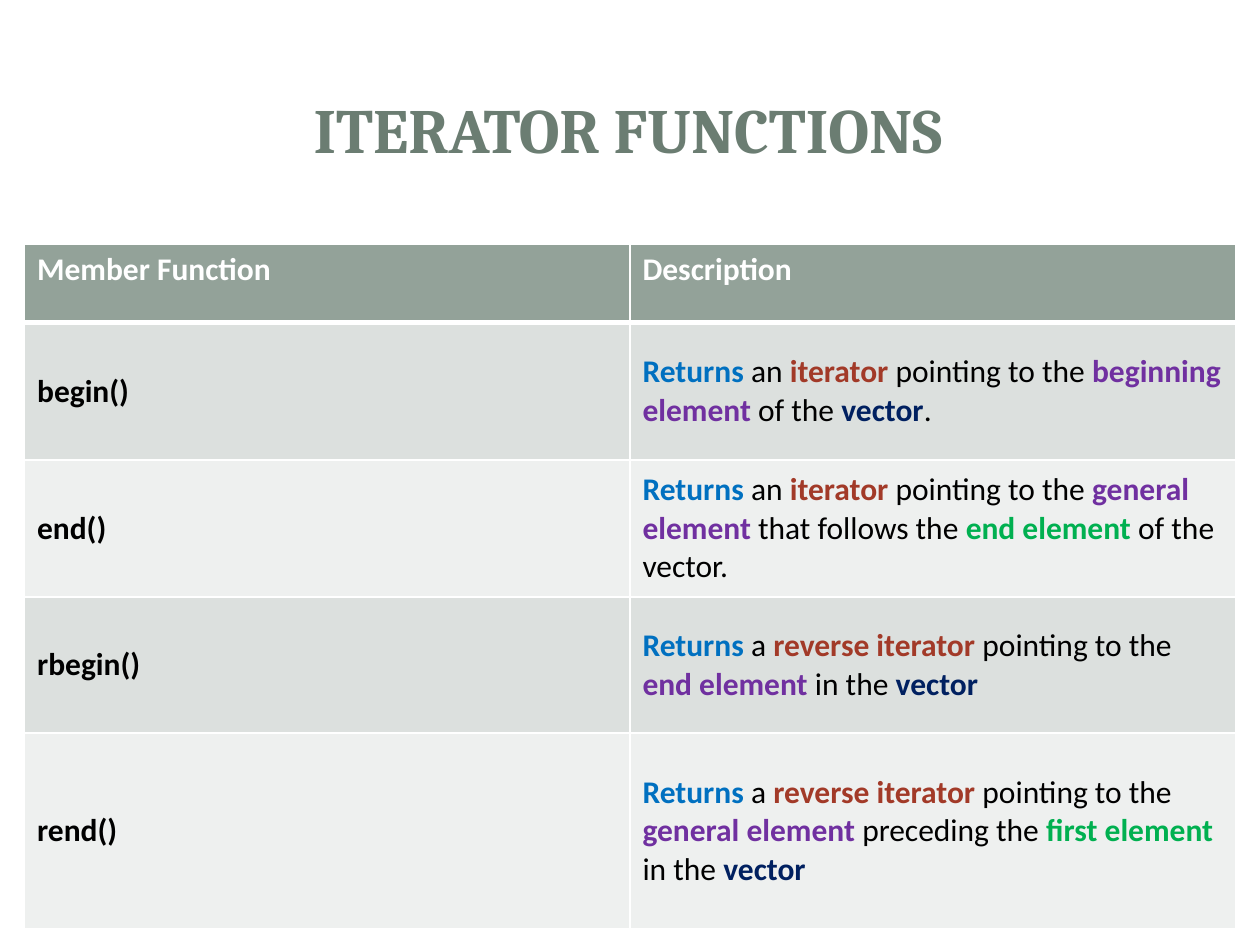
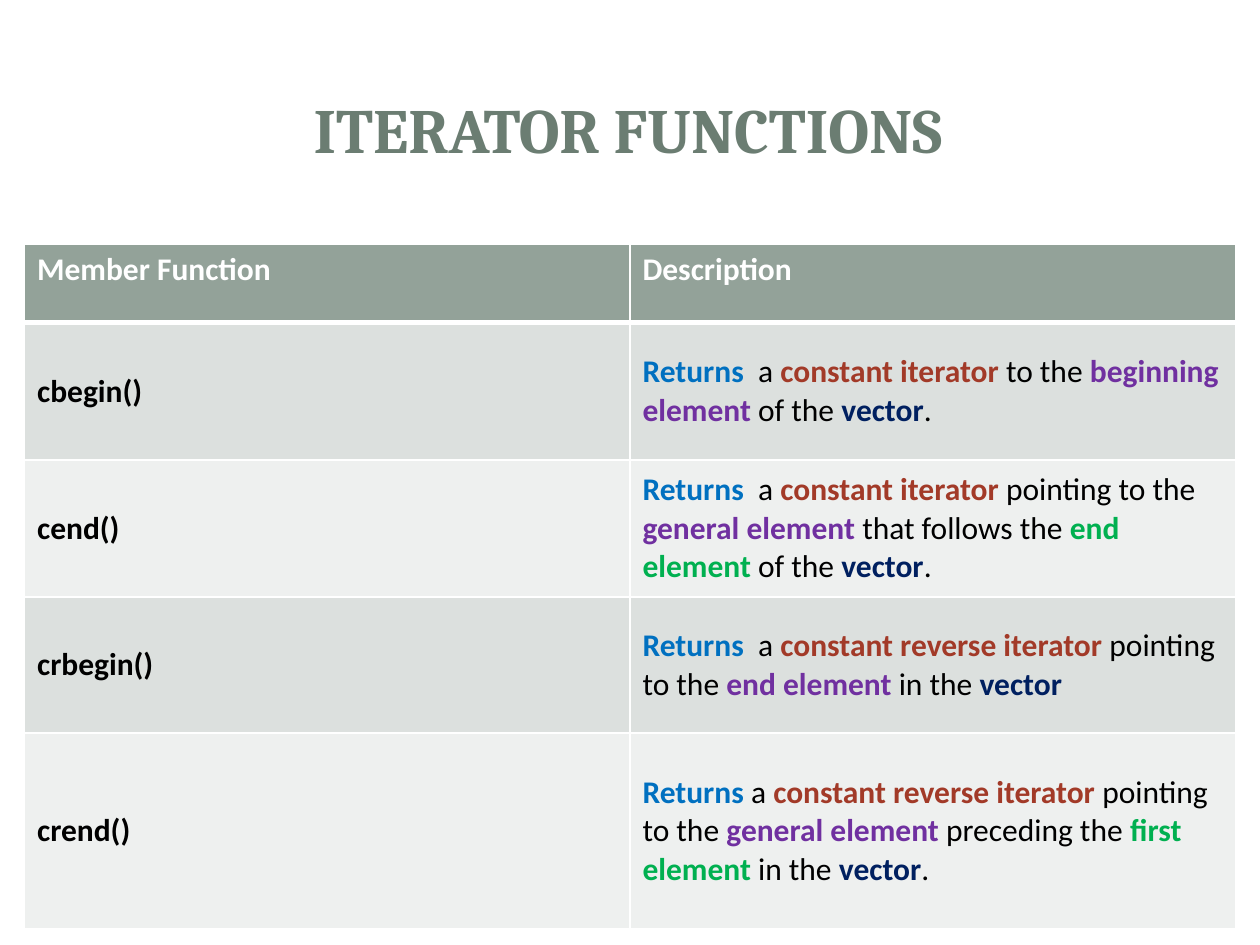
from lxml.etree import SubElement
from pptx import Presentation
from pptx.dml.color import RGBColor
from pptx.enum.shapes import MSO_SHAPE
from pptx.enum.text import MSO_ANCHOR, PP_ALIGN
from pptx.oxml.ns import qn
from pptx.util import Inches, Pt

COLORS = {
    "title": "6B7D72", "header": "93A299", "odd": "DCE0DE", "even": "EEF0EF",
    "white": "FFFFFF", "text": "000000", "verb": "0070C0", "kind": "A23A28",
    "place": "7030A0", "anchor": "00B050", "vector": "002060",
}
TITLE_FONT = {"name": "Cambria", "size": Pt(36), "bold": True}
CELL_FONT = {"name": "Calibri", "size": Pt(18), "bold": True}
TITLE_BOX = {"left": 0.47, "top": 0.45, "width": 9.03, "height": 1.14}
PANELS = [
    (MSO_SHAPE.ROUNDED_RECTANGLE, (0.1, 0.11, 9.8, 7.29), 100),
    (MSO_SHAPE.RECTANGLE, (0.3, 0.3, 9.4, 1.45), 83),
    (MSO_SHAPE.RECTANGLE, (0.41, 0.41, 9.17, 1.22), 100),
]
HEADERS = ["Member Function", "Description"]
ROW_HEIGHTS = [0.62, 1.09, 1.09, 1.08, 1.55]
SLIDE_WIDTH, SLIDE_HEIGHT = 10, 7.5
TABLE_WIDTH = 9.61

SLIDES = [
    [
        ("begin()", [("verb", "Returns"), ("text", " an "), ("kind", "iterator"),
                     ("text", " pointing to the "), ("place", "beginning element "),
                     ("text", "of the "), ("vector", "vector"), ("text", ".")]),
        ("end()", [("verb", "Returns"), ("text", " an "), ("kind", "iterator"),
                   ("text", " pointing to the "), ("place", "general element "),
                   ("text", "that follows the "), ("anchor", "end element "),
                   ("text", "of the vector.")]),
        ("rbegin()", [("verb", "Returns"), ("text", " a "), ("kind", "reverse iterator "),
                      ("text", "pointing to the "), ("place", "end element "),
                      ("text", "in the "), ("vector", "vector")]),
        ("rend()", [("verb", "Returns "), ("text", "a "), ("kind", "reverse iterator "),
                    ("text", "pointing to the "), ("place", "general element "),
                    ("text", "preceding the "), ("anchor", "first element "),
                    ("text", "in the "), ("vector", "vector")]),
    ],
    [
        ("cbegin()", [("verb", "Returns"), ("text", "  a "), ("kind", "constant iterator "),
                      ("text", "to the "), ("place", "beginning element"),
                      ("text", " of the "), ("vector", "vector"), ("text", ".")]),
        ("cend()", [("verb", "Returns"), ("text", "  a "), ("kind", "constant iterator "),
                    ("text", "pointing to the "), ("place", "general element "),
                    ("text", "that follows the "), ("anchor", "end element "),
                    ("text", "of the "), ("vector", "vector"), ("text", ".")]),
        ("crbegin()", [("verb", "Returns"), ("text", "  a "),
                       ("kind", "constant reverse iterator"),
                       ("text", " pointing to the "), ("place", "end element "),
                       ("text", "in the "), ("vector", "vector")]),
        ("crend()", [("verb", "Returns"), ("text", " a "),
                     ("kind", "constant reverse iterator "),
                     ("text", "pointing to the "), ("place", "general element "),
                     ("text", "preceding the "), ("anchor", "first element"),
                     ("text", " in the "), ("vector", "vector"), ("text", ".")]),
    ],
]


def add_run(p, text, color, font):
    r = p.add_run()
    r.text = text
    for name, value in font.items():
        setattr(r.font, name, value)
    r.font.color.rgb = RGBColor.from_string(COLORS[color])


def format_cell(cell, fill, anchor, borders):
    tcPr = cell._tc.get_or_add_tcPr()
    for side, width in borders.items():
        ln = SubElement(tcPr, qn(f"a:ln{side}"), w=str(Pt(width)))
        SubElement(SubElement(ln, qn("a:solidFill")), qn("a:srgbClr"), val=COLORS["white"])
    cell.fill.solid()
    cell.fill.fore_color.rgb = RGBColor.from_string(COLORS[fill])
    cell.vertical_anchor = anchor


prs = Presentation()
prs.slide_width, prs.slide_height = Inches(SLIDE_WIDTH), Inches(SLIDE_HEIGHT)
layout = prs.slide_layouts[5]
slides = [prs.slides.add_slide(layout) for functions in SLIDES]

for i, (kind, box, opacity) in enumerate(PANELS):
    sp = slides[0].shapes.add_shape(kind, *[Inches(value) for value in box])
    sp.shadow.inherit = False
    sp.fill.solid()
    sp.fill.fore_color.rgb = RGBColor.from_string(COLORS["white"])
    sp.line.fill.background()
    if kind == MSO_SHAPE.ROUNDED_RECTANGLE:
        sp.adjustments[0] = 0.017
    if opacity < 100:
        color = sp._element.spPr.find(qn("a:solidFill"))[0]
        SubElement(color, qn("a:alpha"), val=str(opacity * 1000))
    layout.shapes._spTree.insert(2 + i, sp._element)

for s, functions in zip(slides, SLIDES):
    title = s.shapes.title
    for name, value in TITLE_BOX.items():
        setattr(title, name, Inches(value))
    tf = title.text_frame
    tf.vertical_anchor = MSO_ANCHOR.MIDDLE
    p = tf.paragraphs[0]
    p.alignment = PP_ALIGN.CENTER
    add_run(p, "ITERATOR FUNCTIONS", "title", TITLE_FONT)

    table = s.shapes.add_table(
        len(ROW_HEIGHTS), len(HEADERS), Inches((SLIDE_WIDTH - TABLE_WIDTH) / 2),
        Inches(1.94), Inches(TABLE_WIDTH), Inches(sum(ROW_HEIGHTS))).table
    for row, height in zip(table.rows, ROW_HEIGHTS):
        row.height = Inches(height)

    rows = [[[("white", text)] for text in HEADERS]]
    rows += [[[("text", name)], description] for name, description in functions]
    for i, row in enumerate(rows):
        fill = "header" if i == 0 else "odd" if i % 2 else "even"
        anchor = MSO_ANCHOR.TOP if i == 0 else MSO_ANCHOR.MIDDLE
        borders = {"L": 1, "R": 1, "T": 3 if i == 1 else 1, "B": 3 if i == 0 else 1}
        for j, runs in enumerate(row):
            cell = table.cell(i, j)
            format_cell(cell, fill, anchor, borders)
            for color, text in runs:
                bold = j == 0 or color != "text"
                add_run(cell.text_frame.paragraphs[0], text, color, CELL_FONT | {"bold": bold})

prs.save("out.pptx")
